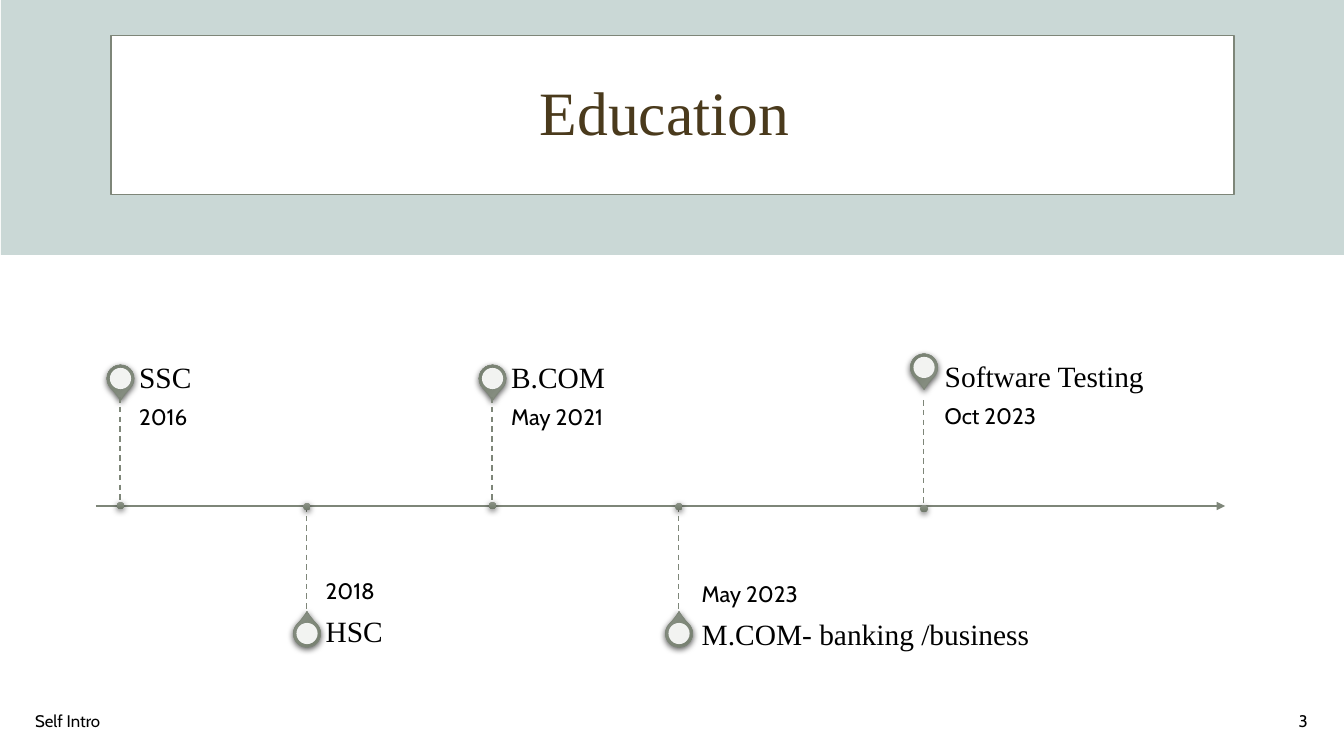
from copy import deepcopy
from dataclasses import dataclass

from lxml.etree import SubElement
from pptx import Presentation
from pptx.dml.color import RGBColor
from pptx.enum.dml import MSO_LINE
from pptx.enum.shapes import MSO_CONNECTOR, MSO_SHAPE as Preset
from pptx.enum.text import MSO_ANCHOR as Anchor, PP_ALIGN as Align
from pptx.oxml.ns import qn
from pptx.util import Pt

PX = 9144
AXIS_Y = 502
STEM_HEIGHT = 107
PIN_SIZE = 27
HEAD_SIZE = 21
DOT_SIZE = 7
SERIF = "Times New Roman"
SANS = "Cabin"
COLORS = {
    "band": "CAD8D6",
    "white": "FFFFFF",
    "line": "7E8679",
    "title": "4A3A1C",
    "text": "000000",
    "shadow": "000000",
    "light": "8D9388",
    "middle": "7E8778",
    "dark": "70786A",
}


@dataclass
class Milestone:
    name: str
    date: str
    above: bool
    x: int
    pin_top: int
    stem_top: int
    label_left: int
    label_top: int
    label_width: int


MILESTONES = [
    Milestone("SSC", "2016", True, 119, 362, 394, 138, 357, 307),
    Milestone("HSC", "2018", False, 304, 615, AXIS_Y, 323, 609, 307),
    Milestone("B.COM", "May 2021", True, 488, 362, 394, 507, 357, 307),
    Milestone("M.COM- banking /business", "May 2023", False, 673, 615, AXIS_Y, 696, 612, 354),
    Milestone("Software Testing", "Oct 2023", True, 916, 351, 397, 937, 356, 245),
]


def rgb(name):
    return RGBColor.from_string(COLORS[name])


def emu(*lengths):
    return [length * PX for length in lengths]


def add_preset(slide, preset, box, fill=None, line=None, width=1):
    shape = slide.shapes.add_shape(preset, *emu(*box))
    shape.shadow.inherit = False
    if fill:
        shape.fill.solid()
        shape.fill.fore_color.rgb = rgb(fill)
    if line:
        shape.line.color.rgb = rgb(line)
        shape.line.width = Pt(width)
    else:
        shape.line.fill.background()
    return shape


def add_text(slide, text, box, size, font, color="text", align=Align.LEFT,
             anchor=Anchor.MIDDLE, insets=(10, 5, 10, 5), spacing=0.9):
    frame = slide.shapes.add_textbox(*emu(*box)).text_frame
    frame.word_wrap = True
    frame.vertical_anchor = anchor
    (frame.margin_left, frame.margin_top,
     frame.margin_right, frame.margin_bottom) = emu(*insets)
    paragraph = frame.paragraphs[0]
    paragraph.text = text
    paragraph.alignment = align
    paragraph.line_spacing = spacing
    paragraph.font.size = Pt(size)
    paragraph.font.name = font
    paragraph.font.color.rgb = rgb(color)


def add_line(slide, start, end, width, dashed=False, arrow=False):
    connector = slide.shapes.add_connector(MSO_CONNECTOR.STRAIGHT, *emu(*start, *end))
    connector.line.color.rgb = rgb("line")
    connector.line.width = Pt(width)
    if dashed:
        connector.line.dash_style = MSO_LINE.DASH
    properties = connector._element.spPr
    if arrow:
        SubElement(properties.find(qn("a:ln")), qn("a:tailEnd"), type="triangle")
    SubElement(properties, qn("a:effectLst"))


def add_relief(shape):
    shape.fill.gradient()
    shape.fill.gradient_angle = 270
    properties = shape._element.spPr
    stops = properties.find(".//" + qn("a:gsLst"))
    stops.insert(1, deepcopy(stops[0]))
    tones = zip(shape.fill.gradient_stops, (0, 0.5, 1), ("light", "middle", "dark"))
    for stop, position, tone in tones:
        stop.position = position
        stop.color.rgb = rgb(tone)
    effects = properties.find(qn("a:effectLst"))
    shadow = SubElement(effects, qn("a:outerShdw"), blurRad=str(Pt(4.5)),
                        dist=str(Pt(1.5)), dir="5400000", algn="ctr", rotWithShape="0")
    color = SubElement(shadow, qn("a:srgbClr"), val=COLORS["shadow"])
    SubElement(color, qn("a:alpha"), val="63000")


def add_pin(slide, x, top, above):
    pin = add_preset(slide, Preset.TEAR, (x - PIN_SIZE // 2, top, PIN_SIZE, PIN_SIZE),
                     line="line", width=0.5)
    pin.adjustments[0] = 1.15
    pin.rotation = 135 if above else 315
    add_relief(pin)
    head = add_preset(slide, Preset.OVAL,
                      (x - HEAD_SIZE // 2, top + 3, HEAD_SIZE, HEAD_SIZE), "white")
    color = head._element.spPr.find(qn("a:solidFill"))[0]
    SubElement(color, qn("a:alpha"), val="90000")


def add_labels(slide, item):
    left, top, width = item.label_left, item.label_top, item.label_width
    if item.above:
        date_top, anchor, insets = top + 37, Anchor.TOP, (0, 11, 11, 17)
    else:
        date_top, anchor, insets = top - 107, Anchor.BOTTOM, (0, 17, 0, 11)
    add_text(slide, item.date, (left, date_top, width, 107), 16, SANS,
             anchor=anchor, insets=insets)
    add_text(slide, item.name, (left, top, width, 38), 21, SERIF, insets=(0, 0, 15, 0))


def add_milestone(slide, item):
    add_pin(slide, item.x, item.pin_top, item.above)
    add_labels(slide, item)
    stem_bottom = item.stem_top + STEM_HEIGHT
    add_line(slide, (item.x, item.stem_top), (item.x, stem_bottom), 1, dashed=True)
    dot_y = stem_bottom if item.above else item.stem_top
    dot = add_preset(slide, Preset.OVAL,
                     (item.x - DOT_SIZE // 2, dot_y - DOT_SIZE // 2, DOT_SIZE, DOT_SIZE))
    add_relief(dot)


def main():
    presentation = Presentation()
    presentation.slide_width, presentation.slide_height = emu(1333, 750)
    slide = presentation.slides.add_slide(presentation.slide_layouts[6])
    add_preset(slide, Preset.RECTANGLE, (1, 0, 1333, 253), "band")
    add_preset(slide, Preset.RECTANGLE, (110, 35, 1114, 158), "white", "line")
    add_text(slide, "Education ", (42, 42, 1250, 145), 44, SERIF, "title", Align.CENTER)
    add_text(slide, "Self Intro", (25, 695, 450, 40), 12, SANS, spacing=1.0)
    add_text(slide, "3", (1007, 695, 300, 40), 12, SANS, align=Align.RIGHT, spacing=1.0)
    add_line(slide, (95, AXIS_Y), (1215, AXIS_Y), 1.5, arrow=True)
    for item in MILESTONES:
        add_milestone(slide, item)
    presentation.save("out.pptx")


if __name__ == "__main__":
    main()
